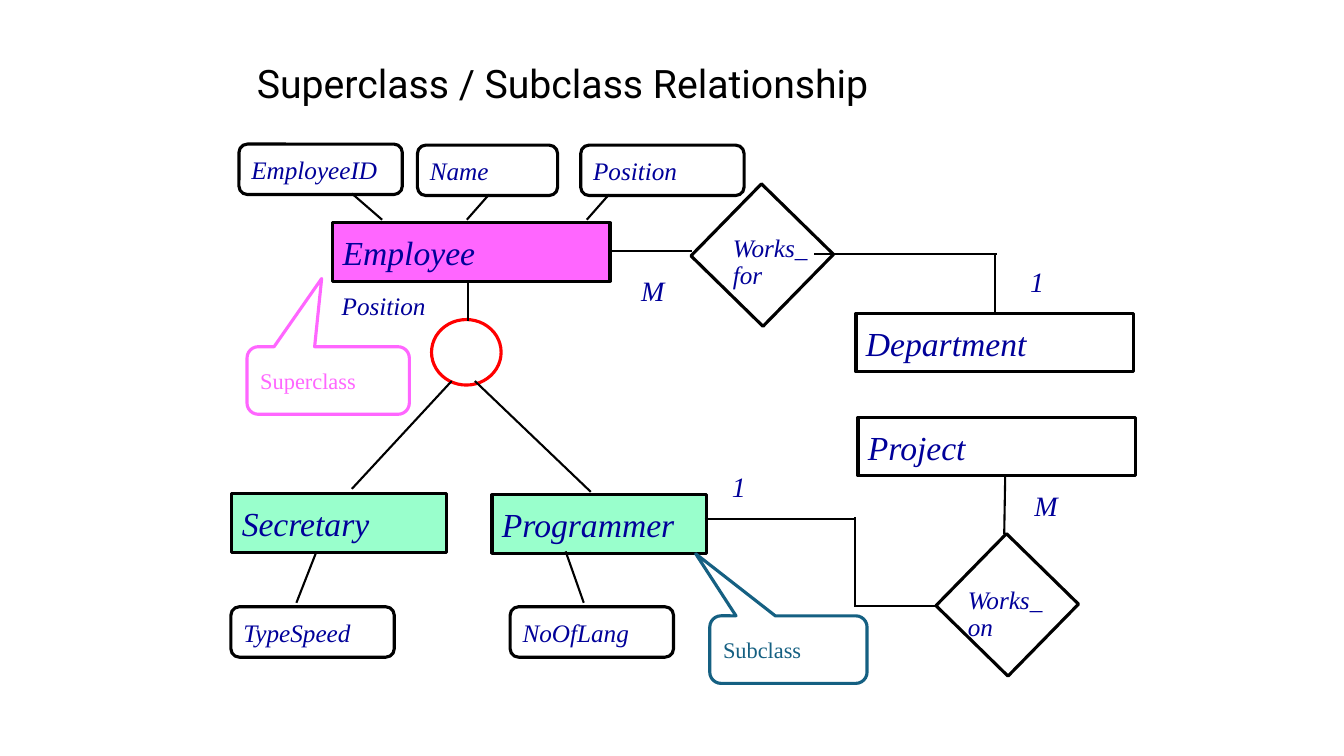
import dataclasses

import pptx
import pptx.dml.color
import pptx.enum.shapes
import pptx.enum.text
import pptx.oxml.ns
import pptx.util
from lxml import etree

Inches = pptx.util.Inches
Pt = pptx.util.Pt
SHAPE = pptx.enum.shapes.MSO_SHAPE
ANCHOR = pptx.enum.text.MSO_ANCHOR


@dataclasses.dataclass(frozen=True)
class Theme:
    title_font: str = "Roboto"
    font: str = "Times New Roman"
    black: str = "000000"
    white: str = "FFFFFF"
    navy: str = "000099"
    pink: str = "FF66FF"
    mint: str = "99FFCC"
    red: str = "FF0000"
    teal: str = "156082"
    title: int = 28
    entity: int = 24
    cardinality: int = 20
    attribute: int = 18
    note: int = 16
    outline: float = 2.25
    link: float = 1.5


def rgb(value):
    return pptx.dml.color.RGBColor.from_string(value)


def write(tf, text, *, size, font, color, italic=True, spacing=None,
          anchor=ANCHOR.TOP):
    """Fill a text frame, one paragraph for each line of text."""
    tf.word_wrap = True
    tf.vertical_anchor = anchor
    for i, line in enumerate(text.split("\n")):
        p = tf.paragraphs[0] if i == 0 else tf.add_paragraph()
        p.alignment = pptx.enum.text.PP_ALIGN.LEFT
        p.line_spacing = spacing
        r = p.add_run()
        r.text = line
        r.font.size = Pt(size)
        r.font.name = font
        r.font.italic = italic
        r.font.color.rgb = rgb(color)


class ERDiagram:
    def __init__(self, slide, theme):
        self.slide = slide
        self.theme = theme

    def shape(self, kind, x, y, w, h, fill=None, line=None):
        sp = self.slide.shapes.add_shape(kind, *map(Inches, (x, y, w, h)))
        sp.shadow.inherit = False
        sp.fill.solid()
        sp.fill.fore_color.rgb = rgb(fill or self.theme.white)
        sp.line.color.rgb = rgb(line or self.theme.black)
        sp.line.width = Pt(self.theme.outline)
        return sp

    def label(self, text, x, y, w, h, **style):
        style = {"font": self.theme.font, "color": self.theme.navy, **style}
        box = self.slide.shapes.add_textbox(*map(Inches, (x, y, w, h)))
        write(box.text_frame, text, **style)

    def entity(self, text, x, y, w, fill=None):
        sp = self.shape(SHAPE.RECTANGLE, x, y, w, 0.58, fill)
        write(sp.text_frame, text, size=self.theme.entity, font=self.theme.font,
              color=self.theme.navy, anchor=ANCHOR.MIDDLE)

    def attribute(self, text, x, y, w=1.62):
        sp = self.shape(SHAPE.ROUNDED_RECTANGLE, x, y, w, 0.5)
        write(sp.text_frame, text, size=self.theme.attribute, font=self.theme.font,
              color=self.theme.navy, anchor=ANCHOR.MIDDLE)

    def relationship(self, text, x, y, text_x, text_y):
        """Draw a turned unit square with its name across it."""
        self.shape(SHAPE.RECTANGLE, x, y, 1, 1).rotation = 224.4
        self.label(text, text_x, text_y, 1.31, 0.38,
                   size=self.theme.attribute, spacing=0.9)

    def callout(self, text, x, y, w, color, tip):
        """Tip is the pointer's offset from the centre, as shares of the size."""
        sp = self.shape(SHAPE.ROUNDED_RECTANGULAR_CALLOUT, x, y, w, 0.67, line=color)
        sp.adjustments[0], sp.adjustments[1] = tip
        write(sp.text_frame, text, size=self.theme.note, font=self.theme.font,
              color=color, italic=False, anchor=ANCHOR.MIDDLE)

    def link(self, x1, y1, x2, y2):
        line = self.slide.shapes.add_connector(
            pptx.enum.shapes.MSO_CONNECTOR.STRAIGHT, *map(Inches, (x1, y1, x2, y2)))
        line.line.color.rgb = rgb(self.theme.black)
        line.line.width = Pt(self.theme.link)
        etree.SubElement(line._element.spPr, pptx.oxml.ns.qn("a:effectLst"))


ATTRIBUTES = [
    ("EmployeeID", 2.37, 1.43), ("Name", 4.14, 1.44, 1.39),
    ("Position", 5.76, 1.44), ("TypeSpeed", 2.29, 6.02), ("NoOfLang", 5.06, 6.02),
]
CARDINALITIES = [
    ("M", 6.26, 2.66), ("1", 10.12, 2.58), ("M", 10.16, 4.8), ("1", 7.16, 4.61),
]
LINKS = [
    # Attributes
    (3.49, 1.92, 3.79, 2.18), (4.85, 1.93, 4.63, 2.18), (6.04, 1.93, 5.82, 2.18),
    (3.14, 5.47, 2.94, 5.98), (5.61, 5.47, 5.79, 5.98),
    # Specialization
    (4.64, 2.78, 4.64, 3.18), (4.48, 3.78, 3.49, 4.85), (4.71, 3.78, 5.86, 4.88),
    # Employee to Department
    (6.86, 2.49, 6.04, 2.49), (9.89, 2.52, 8.07, 2.52), (9.87, 2.53, 9.87, 3.11),
    # Programmer to Project
    (6.99, 5.15, 8.49, 5.15), (8.48, 5.13, 8.48, 6.02), (9.28, 6.01, 8.48, 6.01),
    (9.97, 4.73, 9.96, 5.3),
]


def main():
    prs = pptx.Presentation()
    prs.slide_width, prs.slide_height = Inches(13.33), Inches(7.5)
    theme = Theme()
    diagram = ERDiagram(prs.slides.add_slide(prs.slide_layouts[6]), theme)

    diagram.label("Superclass / Subclass Relationship", 2.45, 0.23, 8.5, 1.25,
                  size=theme.title, font=theme.title_font, color=theme.black,
                  italic=False, spacing=0.9, anchor=ANCHOR.MIDDLE)

    diagram.relationship("Works_\nfor", 7.06, 2.03, 7.17, 2.29)
    diagram.relationship("Works_\non", 9.49, 5.5, 9.5, 5.78)
    diagram.entity("Employee", 3.3, 2.21, 2.75, theme.pink)
    diagram.entity("Department", 8.49, 3.11, 2.75)
    diagram.entity("Project", 8.51, 4.14, 2.75)
    diagram.entity("Secretary", 2.3, 4.9, 2.13, theme.mint)
    diagram.entity("Programmer", 4.88, 4.91, 2.13, theme.mint)
    diagram.shape(SHAPE.OVAL, 4.28, 3.17, 0.69, 0.65, line=theme.red)

    for attribute in ATTRIBUTES:
        diagram.attribute(*attribute)
    for ends in LINKS:
        diagram.link(*ends)
    for text, x, y in CARDINALITIES:
        diagram.label(text, x, y, 0.5, 0.44, size=theme.cardinality)
    diagram.label("Position", 3.29, 2.83, 1.21, 0.4, size=theme.attribute)

    diagram.callout("Superclass", 2.45, 3.44, 1.61, theme.pink, (-0.04, -1.51))
    diagram.callout("Subclass", 7.04, 6.11, 1.56, theme.teal, (-0.59, -1.42))

    prs.save("out.pptx")


if __name__ == "__main__":
    main()
